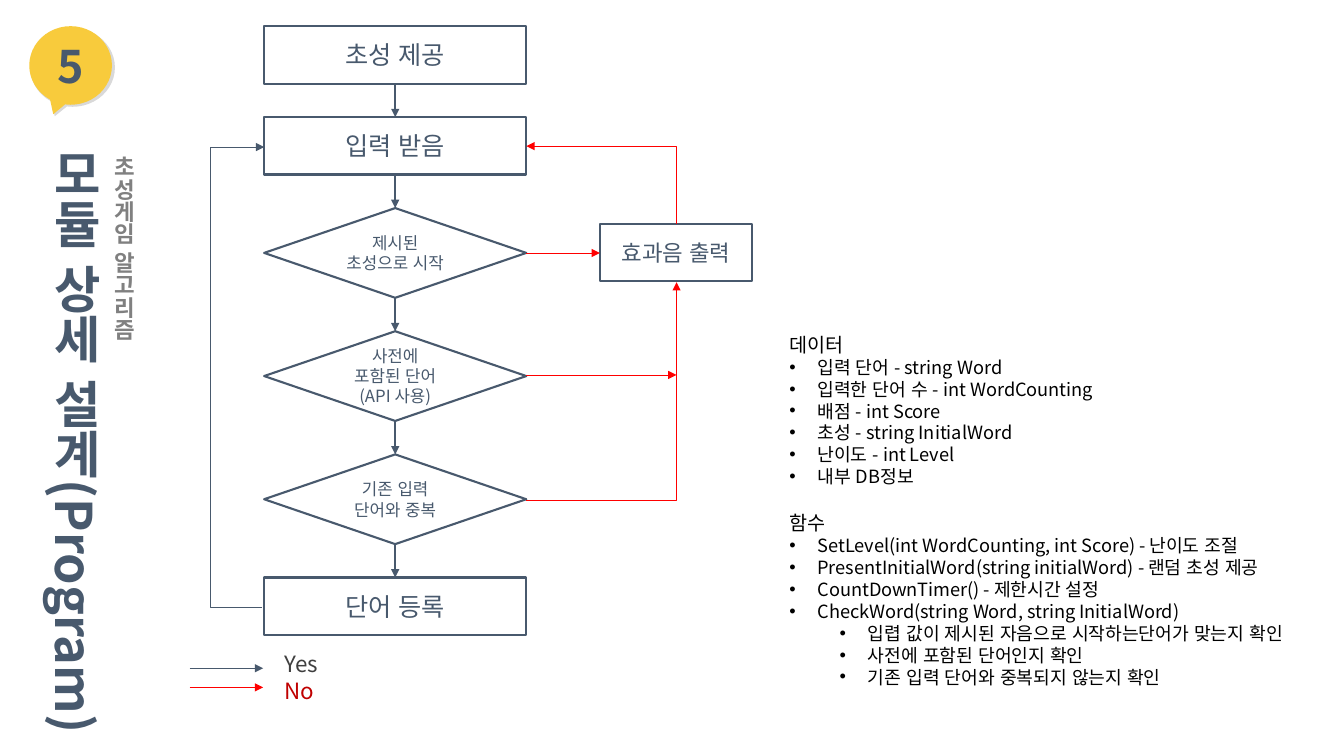
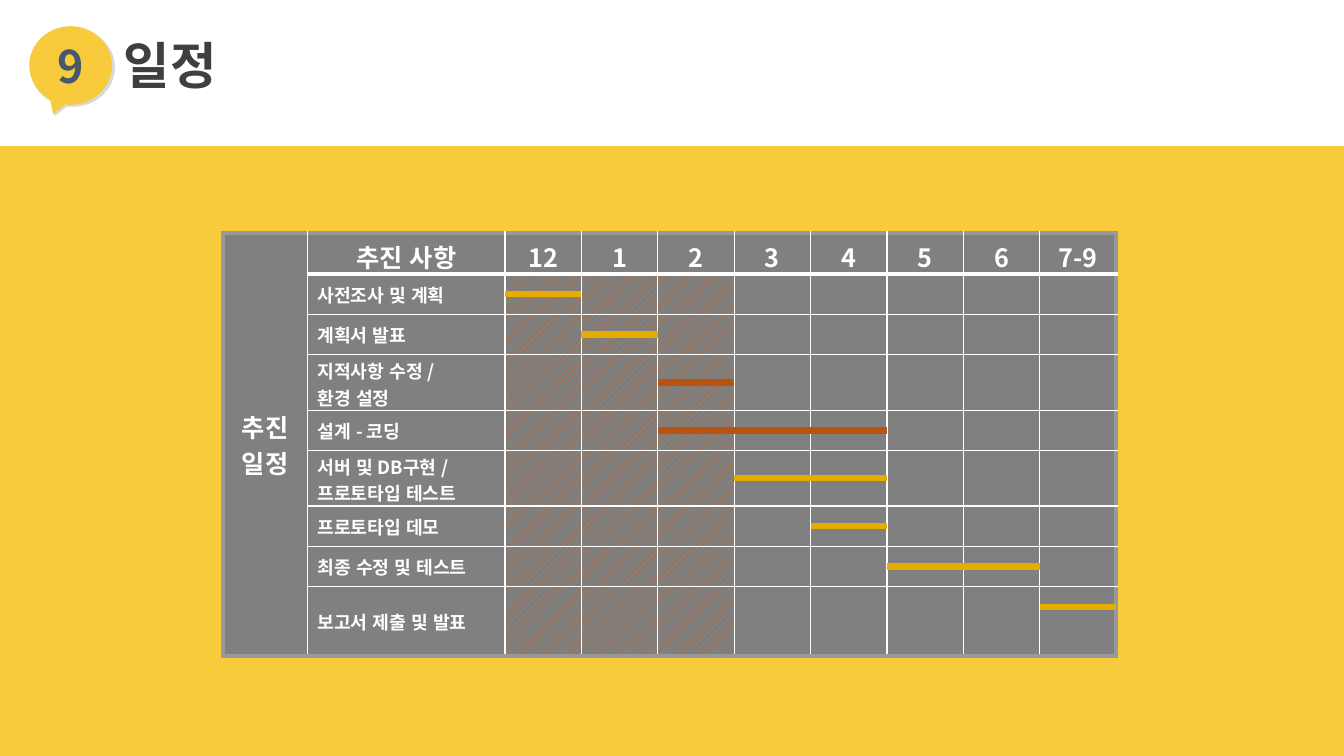
from dataclasses import dataclass
from itertools import accumulate

from lxml.etree import SubElement
from pptx import Presentation
from pptx.dml.color import RGBColor as Rgb
from pptx.enum.dml import MSO_PATTERN as Pattern
from pptx.enum.shapes import MSO_CONNECTOR as Link, MSO_SHAPE as Kind
from pptx.enum.text import MSO_ANCHOR as Anchor, MSO_AUTO_SIZE as Auto, PP_ALIGN as Align
from pptx.oxml.ns import qn
from pptx.util import Inches, Pt

FONT = "Noto Sans CJK KR"
HEX = {
    "navy": "48596D", "yellow": "F8CB3C", "shade": "D9D9D9", "gray": "808080",
    "edge": "999999", "white": "FFFFFF", "black": "000000", "dark": "3F3F3F",
    "red": "FF0000", "crimson": "C00000", "rust": "C55A11", "gold": "E6AD00",
    "brown": "B85410",
}


def rgb(name: str) -> Rgb:
    return Rgb.from_string(HEX[name])


@dataclass
class Style:
    size: float
    color: str = "navy"
    bold: bool = False
    align: Align = Align.LEFT


@dataclass
class Node:
    text: str
    kind: Kind = Kind.RECTANGLE
    size: float = 18

    @property
    def high(self) -> float:
        return 0.57 if self.kind == Kind.RECTANGLE else 0.89


@dataclass
class Task:
    text: str
    start: int
    end: int
    color: str = "gold"
    high: float = 0.4
    drop: float = 0


# Shared helpers
def write(frame, text: str, style: Style) -> None:
    frame.text = text
    for para in frame.paragraphs:
        para.alignment = style.align
        for run in para.runs:
            font = run.font
            font.size, font.bold, font.name = Pt(style.size), style.bold, FONT
            font.color.rgb = rgb(style.color)
            props = run._r.get_or_add_rPr()
            props.set("lang", "ko-KR")
            SubElement(props, qn("a:ea"), typeface=FONT)


def label(slide, box: tuple, text: str, style: Style,
          wrap: bool = True, tall: bool = False):
    frame = slide.shapes.add_textbox(*map(Inches, box)).text_frame
    frame.word_wrap = wrap
    frame.auto_size = Auto.SHAPE_TO_FIT_TEXT
    if tall:
        frame._txBody.bodyPr.set("vert", "eaVert")
    write(frame, text, style)
    return frame


def form(shapes, kind: Kind, box: tuple, fill: str = "", line: str = ""):
    shape = shapes.add_shape(kind, *map(Inches, box))
    shape.shadow.inherit = False
    if fill:
        shape.fill.solid()
        shape.fill.fore_color.rgb = rgb(fill)
    else:
        shape.fill.background()
    if line:
        shape.line.color.rgb = rgb(line)
        shape.line.width = Pt(1.5)
    else:
        shape.line.fill.background()
    shape.text_frame.vertical_anchor = Anchor.MIDDLE
    return shape


def wire(slide, ends: tuple, color: str, width: float, tip: str = "tailEnd",
         bend: str = "", shift: int = 0) -> None:
    kind = Link.ELBOW if bend else Link.STRAIGHT
    link = slide.shapes.add_connector(kind, *map(Inches, ends))
    link.line.color.rgb = rgb(color)
    link.line.width = Pt(width)
    props = link._element.spPr
    if tip:
        SubElement(props.find(qn("a:ln")), qn(f"a:{tip}"), type="triangle")
    if bend:
        geom = props.find(qn("a:prstGeom"))
        geom.set("prst", bend)
        if shift:
            guides = geom.find(qn("a:avLst"))
            if guides is None:
                guides = SubElement(geom, qn("a:avLst"))
            SubElement(guides, qn("a:gd"), name="adj1", fmla=f"val {shift}")
    SubElement(props, qn("a:effectLst"))


def badge(slide, digit: str) -> None:
    group = slide.shapes.add_group_shape()
    for box, fill in (((0.3, 0.28, 0.84, 0.78), "shade"),
                      ((0.29, 0.26, 0.82, 0.78), "yellow")):
        bubble = form(group.shapes, Kind.OVAL_CALLOUT, box, fill)
        bubble.adjustments[0], bubble.adjustments[1] = -0.21, 0.62
    write(bubble.text_frame, digit, Style(32, bold=True, align=Align.CENTER))


# Flow chart slide
NODES = [
    Node("초성 제공"),
    Node("입력 받음"),
    Node("제시된\n초성으로 시작", Kind.FLOWCHART_DECISION, 12),
    Node("사전에\n포함된 단어\n(API 사용)", Kind.FLOWCHART_DECISION, 12),
    Node("기존 입력\n단어와 중복", Kind.FLOWCHART_DECISION, 12),
    Node("단어 등록"),
]
# Indent level and text; level 0 is a heading
NOTES = [
    (0, "데이터"),
    (1, "입력 단어 - string Word"),
    (1, "입력한 단어 수 - int WordCounting"),
    (1, "배점 - int Score"),
    (1, "초성 - string InitialWord"),
    (1, "난이도 - int Level"),
    (1, "내부 DB정보"),
    (0, "함수"),
    (1, "SetLevel(int WordCounting, int Score) - 난이도 조절"),
    (1, "PresentInitialWord(string initialWord) - 랜덤 초성 제공"),
    (1, "CountDownTimer() - 제한시간 설정"),
    (1, "CheckWord(string Word, string InitialWord)"),
    (2, "입렵 값이 제시된 자음으로 시작하는단어가 맞는지 확인"),
    (2, "사전에 포함된 단어인지 확인"),
    (2, "기존 입력 단어와 중복되지 않는지 확인"),
]


def block(slide, node: Node, box: tuple) -> None:
    shape = form(slide.shapes, node.kind, box, line="navy")
    write(shape.text_frame, node.text, Style(node.size, align=Align.CENTER))


def notes(slide) -> None:
    text = "\n".join(line for _, line in NOTES)
    frame = label(slide, (7.73, 3.25, 5.17, 3.83), text, Style(13, "black"))
    for index, (para, (level, _)) in enumerate(zip(frame.paragraphs, NOTES)):
        if level:
            props = para._p.get_or_add_pPr()
            props.set("marL", str(Inches(0.28 + 0.5 * (level - 1))))
            props.set("indent", str(Inches(-0.28)))
            SubElement(props, qn("a:buFont"), typeface="Arial")
            SubElement(props, qn("a:buChar"), char="•")
        else:
            para.runs[0].font.size = Pt(14)
            para.space_before = Pt(17 if index else 0)


def flow(slide) -> None:
    badge(slide, "5")
    label(slide, (0.29, 1.38, 0.81, 5.77), "모듈 상세 설계(Program)",
          Style(36, bold=True), wrap=False, tall=True)
    label(slide, (0.92, 1.45, 0.49, 1.94), "초성게임 알고리즘",
          Style(16, "gray", True, Align.CENTER), wrap=False, tall=True)

    # Main column with equal gaps
    left, wide, top, low = 2.62, 2.6, 0.26, 6.3
    gap = (low - top - sum(node.high for node in NODES)) / (len(NODES) - 1)
    mid, right = left + wide / 2, left + wide
    for node in NODES:
        block(slide, node, (left, top, wide, node.high))
        top += node.high
        if node is not NODES[-1]:
            wire(slide, (mid, top, mid, top + gap), "navy", 1.5)
            top += gap

    # Side box and return paths
    block(slide, Node("효과음 출력", size=16), (5.95, 2.22, 1.51, 0.57))
    side = 6.71
    wire(slide, (2.6, 6.03, left, 1.46), "navy", 0.5,
         bend="bentConnector3", shift=-2550000)
    wire(slide, (right, 2.51, 5.95, 2.51), "red", 0.25)
    wire(slide, (right, 3.72, side, 3.72), "red", 0.25)
    wire(slide, (right, 4.96, side, 2.8), "red", 0.25, bend="bentConnector2")
    wire(slide, (right, 1.45, side, 2.22), "red", 0.25, "headEnd", "bentConnector2")
    notes(slide)

    # Legend
    for y, color in ((6.63, "navy"), (6.82, "red")):
        wire(slide, (1.88, y, 2.61, y), color, 0.25)
    key = label(slide, (2.72, 6.4, 0.78, 0.63), "Yes\nNo", Style(16, "dark"))
    key.paragraphs[1].runs[0].font.color.rgb = rgb("crimson")


# Schedule slide
MONTHS = ["12", "1", "2", "3", "4", "5", "6", "7-9"]
TASKS = [
    Task("사전조사 및 계획", 0, 1),
    Task("계획서 발표", 1, 2),
    Task("지적사항 수정 /\n환경 설정", 2, 3, "brown", 0.55),
    Task("설계 - 코딩", 2, 5, "brown"),
    Task("서버 및 DB구현 /\n프로토타입 테스트", 3, 5, high=0.55),
    Task("프로토타입 데모", 4, 5),
    Task("최종 수정 및 테스트", 5, 7),
    Task("보고서 제출 및 발표", 7, 8, high=0.69, drop=0.2),
]
LEFT, TOP, HEAD = 2.21, 2.31, 0.41
MONTH = 6.06 / len(MONTHS)
COLS = [0.84, 1.96] + [MONTH] * len(MONTHS)
ROWS = [HEAD] + [task.high for task in TASKS]


def edges(cell, row: int, col: int) -> None:
    outer, thick, thin = ("edge", 3), ("white", 3), ("white", 1)
    last = row == len(TASKS) or col == 0
    sides = {
        "lnL": outer if col == 0 else thin,
        "lnR": outer if col == len(COLS) - 1 else thin,
        "lnT": outer if row == 0 else thick if row == 1 else thin,
        "lnB": outer if last else thick if row == 0 else thin,
    }
    props = cell._tc.get_or_add_tcPr()
    for place, (tag, (color, width)) in enumerate(sides.items()):
        line = SubElement(props, qn(f"a:{tag}"), w=str(Pt(width)))
        fill = SubElement(line, qn("a:solidFill"))
        SubElement(fill, qn("a:srgbClr"), val=HEX[color])
        props.insert(place, line)


def paint(cell, row: int, col: int) -> None:
    if row and 2 <= col <= 4:
        cell.fill.patterned()
        cell.fill.pattern = Pattern.WIDE_UPWARD_DIAGONAL
        cell.fill.fore_color.rgb = rgb("rust")
        cell.fill.back_color.rgb = rgb("gray")
    else:
        cell.fill.solid()
        cell.fill.fore_color.rgb = rgb("gray")


def grid(slide) -> None:
    box = map(Inches, (LEFT, TOP, sum(COLS), sum(ROWS)))
    table = slide.shapes.add_table(len(ROWS), len(COLS), *box).table
    table.first_row = table.horz_banding = False
    for col, wide in zip(table.columns, COLS):
        col.width = Inches(wide)
    for row, high in zip(table.rows, ROWS):
        row.height = Inches(high)
    table.cell(0, 0).merge(table.cell(len(TASKS), 0))
    blank = [""] * len(MONTHS)
    texts = [["추진 일정", "추진 사항", *MONTHS]]
    texts += [["", task.text, *blank] for task in TASKS]
    for r, line in enumerate(texts):
        size, align = (13, Align.LEFT) if r else (18, Align.CENTER)
        for c, text in enumerate(line):
            cell = table.cell(r, c)
            tall = "\n" in text
            cell.margin_top = Inches(0.03 if tall else 0.05 if c and not r else 0)
            cell.margin_bottom = 0
            cell.vertical_anchor = Anchor.MIDDLE if r or not c else Anchor.TOP
            write(cell.text_frame, text, Style(size, "white", True, align))
            if not text:
                mark = cell.text_frame.paragraphs[0]._p
                SubElement(mark, qn("a:endParaRPr"), sz="1300")
            paint(cell, r, c)
            if not cell.is_spanned:
                edges(cell, r, c)


def plan(slide) -> None:
    form(slide.shapes, Kind.RECTANGLE, (0, 1.45, 13.33, 6.05), "yellow")
    badge(slide, "9")
    label(slide, (1.13, 0.29, 1.18, 0.71), "일정", Style(36, "dark", True), wrap=False)
    grid(slide)

    # Bars over the months
    start = LEFT + sum(COLS[:2])
    for task, top in zip(TASKS, accumulate(ROWS[1:], initial=TOP + HEAD)):
        y = top + (task.drop or task.high / 2)
        ends = (start + MONTH * task.start, y, start + MONTH * task.end, y)
        wire(slide, ends, task.color, 4.5, tip="")


def main() -> None:
    deck = Presentation()
    deck.slide_width, deck.slide_height = Inches(13.33), Inches(7.5)
    for draw in (flow, plan):
        draw(deck.slides.add_slide(deck.slide_layouts[6]))
    deck.save("out.pptx")


if __name__ == "__main__":
    main()
